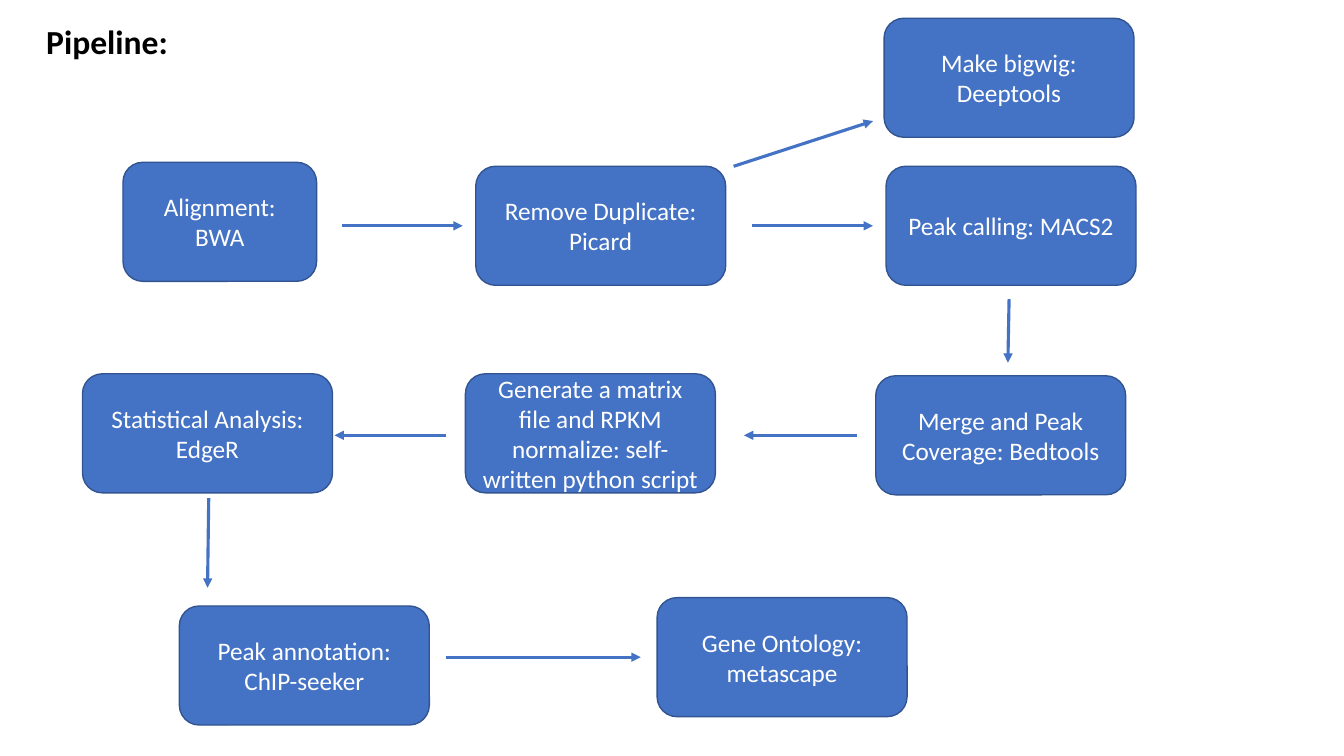
"""Build the sequencing analysis pipeline slide."""
from lxml import etree
from pptx import Presentation
from pptx.dml.color import RGBColor
from pptx.enum import shapes, text
from pptx.oxml import ns
from pptx.util import Cm, Pt

BLUE = RGBColor(0x44, 0x72, 0xC4)
OUTLINE = RGBColor(0x32, 0x54, 0x91)
WHITE = RGBColor(0xFF, 0xFF, 0xFF)
BLACK = RGBColor(0x00, 0x00, 0x00)
FONT = "Calibri"
BOX_W, BOX_H = 6.3, 3

STEPS = [
    ("Alignment: BWA", 3.1, 4.09, 4.88),
    ("Remove Duplicate: Picard", 11.99, 4.19, BOX_W),
    ("Peak calling: MACS2", 22.33, 4.19, BOX_W),
    ("Make bigwig: Deeptools", 22.28, 0.46, BOX_W),
    ("Merge and Peak Coverage: Bedtools", 22.07, 9.47, BOX_W),
    ("Generate a matrix file and RPKM normalize: self-written python script",
     11.73, 9.42, BOX_W),
    ("Statistical Analysis: EdgeR", 2.08, 9.42, BOX_W),
    ("Peak annotation: ChIP-seeker", 4.52, 15.27, BOX_W),
    ("Gene Ontology: metascape", 16.56, 15.06, BOX_W),
]

ARROWS = [
    (8.61, 5.69, 11.66, 5.69),
    (18.95, 5.69, 22, 5.69),
    (18.49, 4.19, 22, 3.05),
    (25.43, 7.54, 25.4, 9.14),
    (21.59, 10.97, 18.75, 10.97),
    (11.25, 10.97, 8.43, 10.97),
    (5.26, 12.55, 5.23, 14.81),
    (11.25, 16.56, 16.15, 16.56),
]


def write(tf, words, size, color, align, bold=False):
    tf.text = words
    tf.vertical_anchor = text.MSO_ANCHOR.MIDDLE
    p = tf.paragraphs[0]
    p.alignment = align
    font = p.runs[0].font
    font.name, font.size, font.bold = FONT, Pt(size), bold
    font.color.rgb = color


def add_title(s, words):
    sp = s.shapes.title
    sp.left, sp.top, sp.width, sp.height = Cm(0.91), Cm(0.41), Cm(3.61), Cm(1.27)
    write(sp.text_frame, words, 24, BLACK, text.PP_ALIGN.LEFT, bold=True)
    sp.text_frame.word_wrap = False


def add_step(s, words, left, top, width):
    sp = s.shapes.add_shape(shapes.MSO_SHAPE.ROUNDED_RECTANGLE,
                            Cm(left), Cm(top), Cm(width), Cm(BOX_H))
    sp.shadow.inherit = False
    sp.fill.solid()
    sp.fill.fore_color.rgb = BLUE
    sp.line.color.rgb = OUTLINE
    sp.line.width = Pt(1)
    write(sp.text_frame, words, 18, WHITE, text.PP_ALIGN.CENTER)
    sp.text_frame.word_wrap = True


def add_arrow(s, *ends):
    cxn = s.shapes.add_connector(shapes.MSO_CONNECTOR.STRAIGHT, *map(Cm, ends))
    cxn.line.color.rgb = BLUE
    cxn.line.width = Pt(2.25)
    etree.SubElement(cxn.line._get_or_add_ln(), ns.qn("a:tailEnd"), type="triangle")
    etree.SubElement(cxn._element.spPr, ns.qn("a:effectLst"))


def main():
    prs = Presentation()
    prs.slide_width, prs.slide_height = Cm(33.87), Cm(19.05)
    s = prs.slides.add_slide(prs.slide_layouts.get_by_name("Title Only"))
    add_title(s, "Pipeline:")
    for step in STEPS:
        add_step(s, *step)
    for arrow in ARROWS:
        add_arrow(s, *arrow)
    prs.save("out.pptx")


if __name__ == "__main__":
    main()
